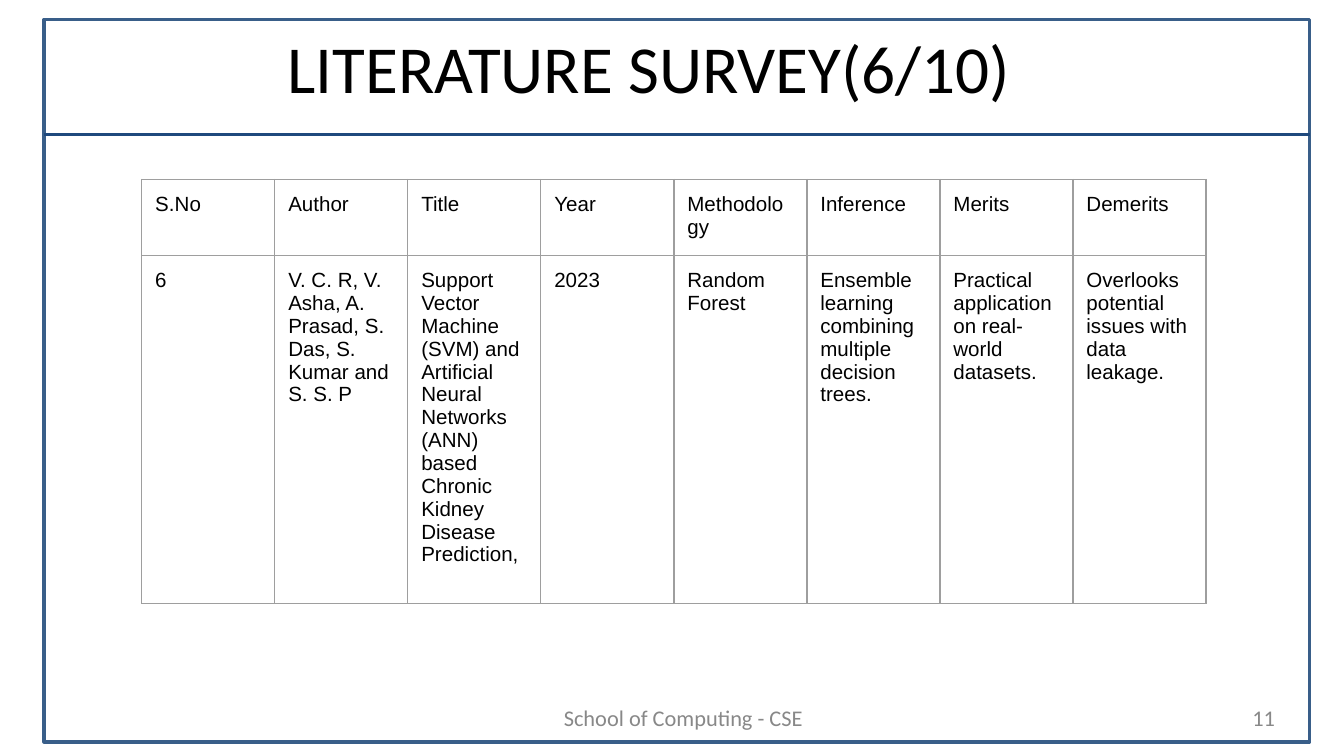
from dataclasses import dataclass

from lxml.etree import SubElement as Sub
from pptx import Presentation
from pptx.dml.color import RGBColor as Color
from pptx.enum.shapes import MSO_CONNECTOR as Link, MSO_SHAPE as Shape
from pptx.enum.text import MSO_ANCHOR as Anchor, PP_ALIGN as Align
from pptx.oxml import parse_xml
from pptx.oxml.ns import nsdecls, qn
from pptx.util import Emu, Pt


@dataclass(frozen=True)
class Theme:
    """Hold the colours, fonts and type sizes."""
    frame: str = "395E89"
    rule: str = "1F497D"
    grid: str = "9E9E9E"
    ink: str = "000000"
    muted: str = "888888"
    head_font: str = "Calibri"
    cell_font: str = "Arial"
    head_size: int = 36
    foot_size: int = 12
    cell_size: int = 11
    line: float = 2
    thin: float = 0.75


THEME = Theme()
SCALE = 4572
ROWS = [
    ["S.No", "Author", "Title", "Year", "Methodology", "Inference", "Merits", "Demerits"],
    ["6", "V. C. R, V. Asha, A. Prasad, S. Das, S. Kumar and S. S. P",
     "Support Vector Machine (SVM) and Artificial Neural Networks (ANN) based "
     "Chronic Kidney Disease Prediction,",
     "2023", "Random Forest", "Ensemble learning combining multiple decision trees.",
     "Practical application on real-world datasets.",
     "Overlooks potential issues with data leakage."],
]


def px(*sizes):
    """Turn px lengths into EMU."""
    return [Emu(size * SCALE) for size in sizes]


def style(frame, font, size, color, align):
    """Format every run of a text frame."""
    for para in frame.paragraphs:
        para.alignment = align
        for run in para.runs:
            run.font.name = font
            run.font.size = Pt(size)
            run.font.bold = False
            run.font.color.rgb = Color.from_string(color)


def stroke(line, color):
    """Paint a heavy line."""
    line.color.rgb = Color.from_string(color)
    line.width = Pt(THEME.line)


def add_text(slide, box, text, size, color, align):
    """Place one line of text in the box."""
    frame = slide.shapes.add_textbox(*px(*box)).text_frame
    frame.word_wrap = True
    frame.vertical_anchor = Anchor.MIDDLE
    frame.text = text
    style(frame, THEME.head_font, size, color, align)


def add_frame(slide, box):
    """Draw the page border and the rule under the title."""
    x, y, w, h = box
    edge = slide.shapes.add_shape(Shape.RECTANGLE, *px(*box))
    edge.shadow.inherit = False
    edge.fill.background()
    stroke(edge.line, THEME.frame)
    level = y + 171
    rule = slide.shapes.add_connector(Link.STRAIGHT, *px(x, level, x + w, level))
    stroke(rule.line, THEME.rule)
    Sub(rule.element.spPr, qn("a:effectLst"))


def add_foot(slide, box, label, number):
    """Place the centred label and the page number."""
    x, y, w, h = box
    size, color = THEME.foot_size, THEME.muted
    add_text(slide, (x, y, 634, h), label, size, color, Align.CENTER)
    add_text(slide, (x + w - 467, y, 467, h), number, size, color, Align.RIGHT)


def edge_cell(cell):
    """Draw thin borders on all sides of a cell."""
    props = cell._tc.get_or_add_tcPr()
    for spot, side in enumerate(("lnL", "lnR", "lnT", "lnB")):
        props.insert(spot, parse_xml(
            f'<a:{side} {nsdecls("a")} w="{Pt(THEME.thin)}"><a:solidFill>'
            f'<a:srgbClr val="{THEME.grid}"/></a:solidFill></a:{side}>'))


def add_grid(slide, box, rows, wide, high):
    """Place a table of equal cells that grow with their text."""
    holder = slide.shapes.add_table(len(rows), len(rows[0]), *px(*box))
    table = holder.table
    table.first_row = table.horz_banding = False
    for col in table.columns:
        col.width, = px(wide)
    for line in table.rows:
        line.height, = px(high)
    holder.width, holder.height = px(*box[2:])
    pad, = px(20)
    for r, row in enumerate(rows):
        for c, text in enumerate(row):
            cell = table.cell(r, c)
            cell.text_frame.text = text
            cell.margin_left = cell.margin_right = pad
            cell.margin_top = cell.margin_bottom = pad
            cell.fill.background()
            edge_cell(cell)
            style(cell.text_frame, THEME.cell_font, THEME.cell_size,
                  THEME.ink, Align.LEFT)


def main():
    """Build and save the slide."""
    deck = Presentation()
    deck.slide_width, deck.slide_height = px(2000, 1125)
    slide = deck.slides.add_slide(deck.slide_layouts[6])
    add_frame(slide, (66, 29, 1883, 1075))
    add_text(slide, (66, 29, 1800, 140), "LITERATURE SURVEY(6/10)",
             THEME.head_size, THEME.ink, Align.CENTER)
    add_foot(slide, (700, 1046, 1217, 44), "School of Computing - CSE", "11")
    add_grid(slide, (211, 267, 656, 656), ROWS, 198, 84)
    deck.save("out.pptx")


if __name__ == "__main__":
    main()
